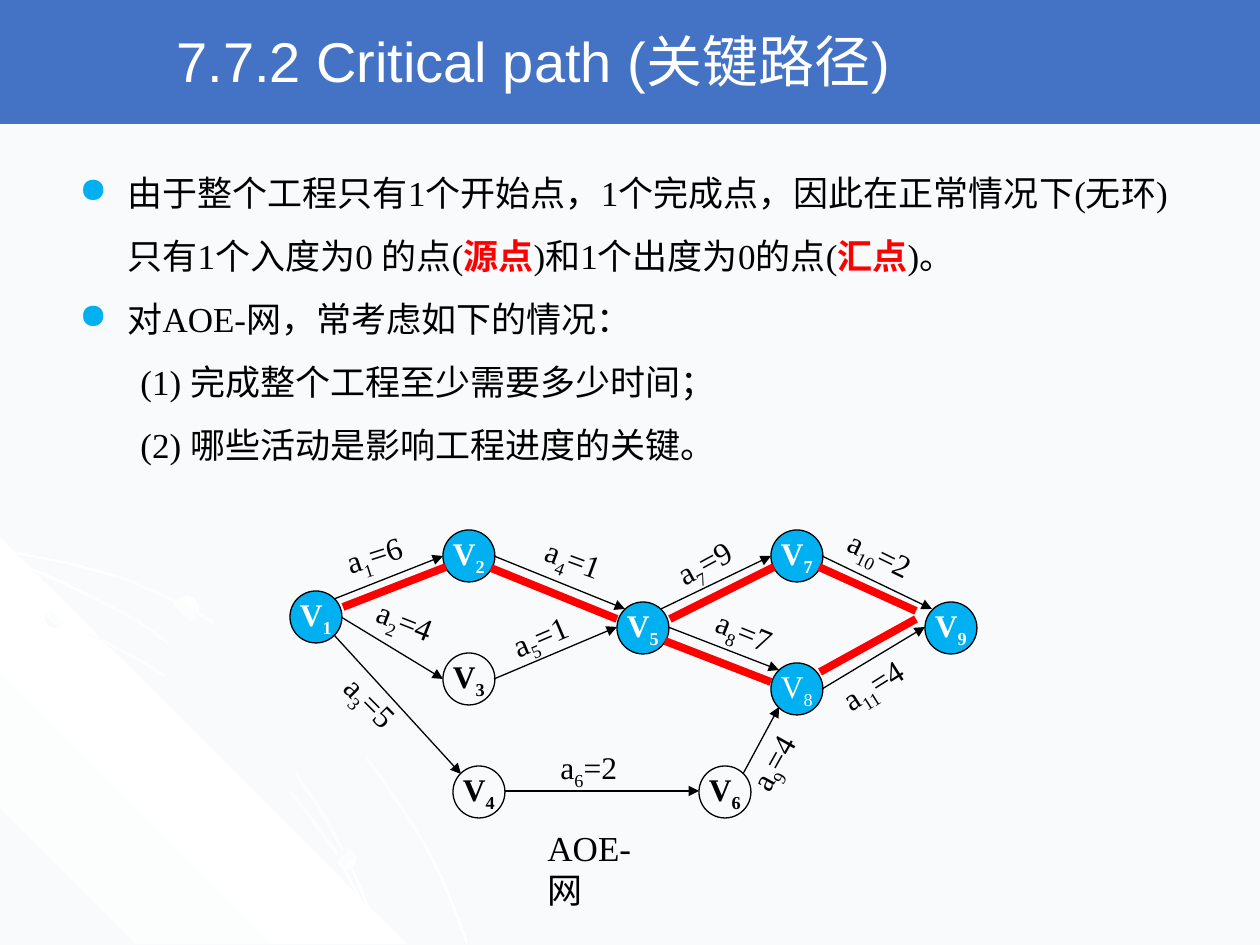
"""Builds the AOE network slide on critical paths."""
from copy import deepcopy
from dataclasses import dataclass

from lxml.etree import SubElement
from pptx import Presentation
from pptx.dml.color import RGBColor
from pptx.enum.shapes import MSO_CONNECTOR, MSO_SHAPE
from pptx.enum.text import MSO_ANCHOR, PP_ALIGN
from pptx.oxml.ns import qn
from pptx.util import Emu, Pt

EMU_PER_PX = 914400 / 126


def px(n):
    return Emu(round(n * EMU_PER_PX))


@dataclass(frozen=True)
class Theme:
    paper: str = "F9FAFB"
    white: str = "FFFFFF"
    black: str = "000000"
    header: str = "4472C4"
    node: str = "00B0F0"
    critical: str = "FF0000"
    title_font: str = "Arial"
    body_font: str = "Times New Roman"
    title_size: int = 32
    body_size: int = 20
    label_size: int = 18
    thin: float = 0.75
    thick: float = 4.5


class SlideBuilder:
    def __init__(self, slide, theme):
        self.s = slide
        self.t = theme
        bg = slide.background.fill
        bg.solid()
        bg.fore_color.rgb = RGBColor.from_string(theme.paper)

    def gradient(self, sp, colors, angle):
        sp.shadow.inherit = False
        sp.line.fill.background()
        sp.fill.gradient()
        sp.fill.gradient_angle = angle
        stops = sp.fill.gradient_stops
        if len(colors) == 3:
            last = sp._element.spPr.findall(".//" + qn("a:gs"))[-1]
            middle = deepcopy(last)
            middle.set("pos", "50000")
            last.addprevious(middle)
            stops = sp.fill.gradient_stops
        for stop, color in zip(stops, colors):
            stop.color.rgb = RGBColor.from_string(color)

    def outline(self, points, colors, angle):
        fb = self.s.shapes.build_freeform(*points[0], scale=EMU_PER_PX)
        fb.add_line_segments(points[1:], close=True)
        self.gradient(fb.convert_to_shape(), colors, angle)

    def ribbon(self, points):
        edge = [(x + 2, y - 2) for x, y in reversed(points)]
        self.outline(points + edge, (self.t.white, self.t.paper, self.t.white), 315)

    def dot(self, x, y, size, angle):
        sp = self.s.shapes.add_shape(MSO_SHAPE.OVAL, px(x), px(y), px(size), px(size))
        self.gradient(sp, (self.t.paper, self.t.white), angle)

    def shape(self, kind, x, y, w, h, fill, line, width):
        sp = self.s.shapes.add_shape(kind, px(x), px(y), px(w), px(h))
        sp.shadow.inherit = False
        if fill:
            sp.fill.solid()
            sp.fill.fore_color.rgb = RGBColor.from_string(fill)
        else:
            sp.fill.background()
        sp.line.color.rgb = RGBColor.from_string(line)
        sp.line.width = Pt(width)
        return sp

    def run(self, p, text, size, color=None, bold=False, sub=False, font=None):
        r = p.add_run()
        r.text = text
        r.font.name = font or self.t.body_font
        r.font.size = Pt(size)
        r.font.bold = bold
        r.font.color.rgb = RGBColor.from_string(color or self.t.black)
        if sub:
            r._r.get_or_add_rPr().set("baseline", "-25000")

    def text_box(self, x, y, w, h, wrap=True, rotation=0):
        sp = self.s.shapes.add_textbox(px(x), px(y), px(w), px(h))
        sp.rotation = rotation
        sp.text_frame.word_wrap = wrap
        return sp.text_frame

    def title(self, text):
        self.shape(MSO_SHAPE.RECTANGLE, 0, 0, 1260, 122, self.t.header, self.t.header, 2)
        tf = self.text_box(164, 4, 1033, 113)
        tf.vertical_anchor = MSO_ANCHOR.MIDDLE
        self.run(tf.paragraphs[0], text, self.t.title_size, self.t.white, font=self.t.title_font)

    def body(self, paragraphs):
        tf = self.text_box(67, 144, 1130, 326)
        for i, (bullet, runs) in enumerate(paragraphs):
            p = tf.paragraphs[0] if i == 0 else tf.add_paragraph()
            p.line_spacing = 1.5
            pPr = p._p.get_or_add_pPr()
            pPr.set("marL", str(px(48 if bullet else 61)))
            pPr.set("indent", str(px(-48 if bullet else 0)))
            if bullet:
                color = SubElement(pPr, qn("a:buClr"))
                SubElement(color, qn("a:srgbClr"), val=self.t.node)
                SubElement(pPr, qn("a:buChar"), char="●")
            for text, key in runs:
                self.run(p, text, self.t.body_size, self.t.critical if key else None, bold=key)

    def node(self, number, x, y, filled, bold):
        sp = self.shape(MSO_SHAPE.OVAL, x, y, 52, 52, self.t.node if filled else None,
                        self.t.black, self.t.thin)
        tf = sp.text_frame
        tf.word_wrap = False
        tf.vertical_anchor = MSO_ANCHOR.MIDDLE
        p = tf.paragraphs[0]
        p.alignment = PP_ALIGN.CENTER
        color = self.t.white if filled else self.t.black
        self.run(p, "V", self.t.label_size, color, bold)
        self.run(p, str(number), self.t.label_size, color, bold, sub=True)

    def edge(self, x1, y1, x2, y2, critical=False):
        ln = self.s.shapes.add_connector(MSO_CONNECTOR.STRAIGHT, px(x1), px(y1), px(x2), px(y2))
        ln.line.color.rgb = RGBColor.from_string(self.t.critical if critical else self.t.black)
        ln.line.width = Pt(self.t.thick if critical else self.t.thin)
        if not critical:
            SubElement(ln.line._get_or_add_ln(), qn("a:tailEnd"), type="triangle")
        SubElement(ln._element.spPr, qn("a:effectLst"))

    def label(self, number, weight, x, y, w, rotation):
        p = self.text_box(x, y, w, 50, wrap=False, rotation=rotation).paragraphs[0]
        for text, sub in (("a", False), (str(number), True), (f"={weight}", False)):
            self.run(p, text, self.t.label_size, sub=sub)

    def caption(self, text):
        tf = self.text_box(535, 820, 135, 55)
        self.run(tf.paragraphs[0], text, self.t.body_size)


OUTER_STEM = [(0, 551), (71, 565), (122, 579), (170, 600), (218, 626), (262, 659), (304, 692),
              (341, 729), (375, 771), (407, 818), (425, 848), (441, 880), (454, 911), (466, 944)]
STEMS = [
    [(0, 601), (49, 617), (97, 639), (145, 665), (189, 694), (231, 728), (268, 766),
     (302, 808), (334, 852), (359, 900), (379, 944)],
    [(0, 559), (45, 576), (93, 599), (137, 622), (179, 653), (218, 685), (255, 724),
     (286, 762), (318, 808), (336, 840), (353, 874), (368, 910), (379, 944)],
]
DOTS = [(45, 609, 19, 45), (336, 849, 20, 315), (173, 596, 26, 45)]
BODY = [
    (True, [("由于整个工程只有1个开始点，1个完成点，因此在正常情况下(无环)只有1个入度为0 的点(", False),
            ("源点", True), (")和1个出度为0的点(", False), ("汇点", True), (")。", False)]),
    (True, [("对AOE-网，常考虑如下的情况：", False)]),
    (False, [("(1) 完成整个工程至少需要多少时间；", False)]),
    (False, [("(2) 哪些活动是影响工程进度的关键。", False)]),
]
NODES = {1: (290, 591), 2: (443, 530), 3: (443, 653), 4: (453, 766), 5: (617, 602),
         6: (699, 766), 7: (771, 530), 8: (771, 663), 9: (925, 602)}
UNFILLED = {3, 4, 6}
EDGES = [(334, 599, 443, 556), (341, 617, 443, 679), (334, 635, 461, 774), (494, 556, 625, 609),
         (494, 679, 617, 627), (661, 609, 771, 556), (668, 627, 779, 670), (822, 556, 932, 609),
         (822, 689, 925, 627), (505, 791, 699, 791), (743, 774, 779, 707)]
CRITICAL = [(343, 607, 446, 567), (491, 568, 617, 619), (665, 641, 771, 682),
            (820, 672, 916, 619), (670, 619, 774, 567), (819, 567, 916, 611)]
LABELS = [(1, 6, 333, 529, 83, 342.3), (2, 4, 364, 599, 100, 21.6), (3, 5, 330, 677, 83, 45.1),
          (4, 1, 533, 534, 83, 20.1), (5, 1, 499, 610, 83, 337), (6, 2, 548, 742, 83, 0),
          (7, 9, 663, 537, 83, 331.5), (8, 7, 704, 606, 83, 21.9), (9, 4, 731, 737, 83, 299.2),
          (10, 2, 835, 529, 93, 26.1), (11, 4, 827, 659, 92, 327.7)]


def main():
    prs = Presentation()
    prs.slide_width, prs.slide_height = px(1260), px(945)
    theme = Theme()
    b = SlideBuilder(prs.slides.add_slide(prs.slide_layouts[6]), theme)
    b.ribbon(OUTER_STEM)
    b.outline([(0, 538), (406, 944), (0, 944)], (theme.paper, theme.white, theme.paper), 45)
    for stem in STEMS:
        b.ribbon(stem)
    for dot in DOTS:
        b.dot(*dot)
    b.title("7.7.2 Critical path (关键路径)")
    b.body(BODY)
    for number, (x, y) in NODES.items():
        b.node(number, x, y, number not in UNFILLED, number != 8)
    for edge in EDGES:
        b.edge(*edge)
    for label in LABELS:
        b.label(*label)
    b.caption("AOE-网")
    for edge in CRITICAL:
        b.edge(*edge, critical=True)
    prs.save("out.pptx")


if __name__ == "__main__":
    main()
